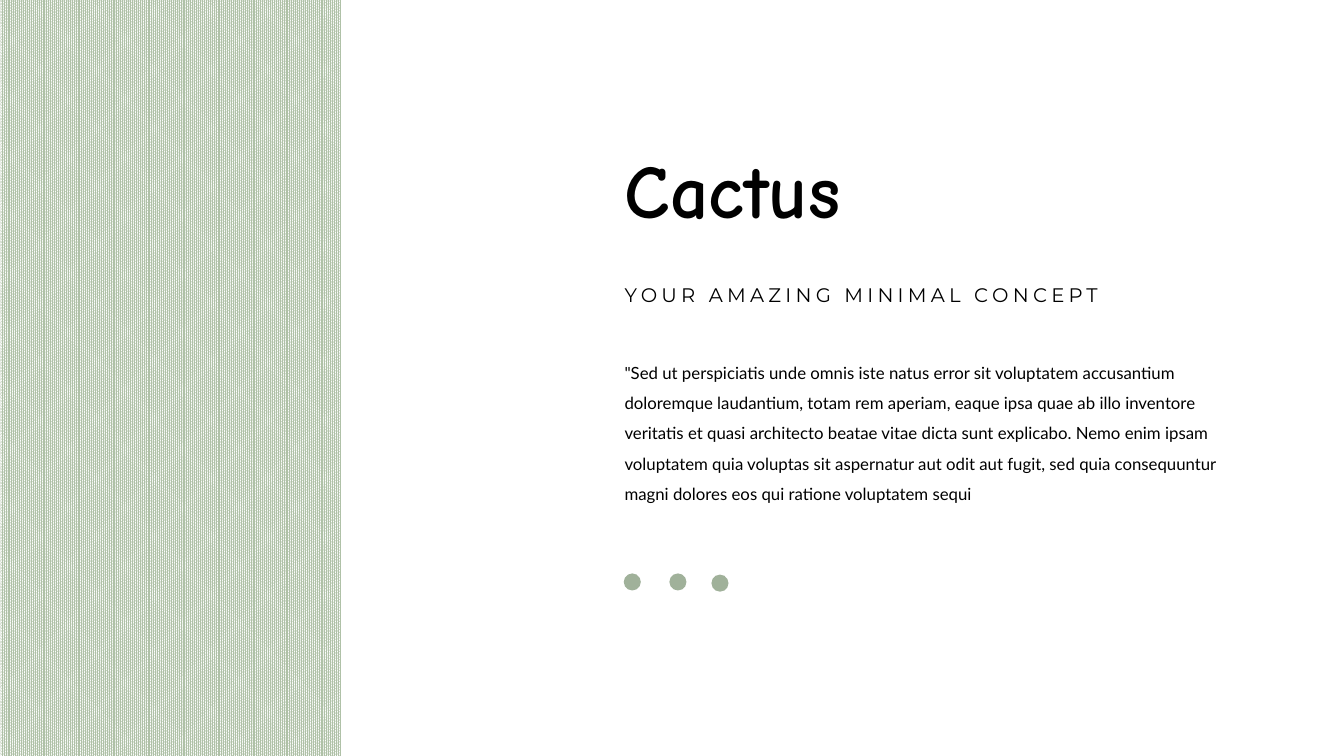
from pptx import Presentation
from pptx.dml.color import RGBColor
from pptx.enum.dml import MSO_PATTERN
from pptx.enum.shapes import MSO_SHAPE
from pptx.enum.text import MSO_ANCHOR, MSO_AUTO_SIZE, PP_ALIGN
from pptx.util import Cm, Pt

COLORS = {"text": "000000", "panel": "AFC1A7", "dot": "A0B19A", "white": "FFFFFF"}
TEXT_LEFT = 15.49
BODY = (
    '"Sed ut perspiciatis unde omnis iste natus error sit voluptatem accusantium '
    "doloremque laudantium, totam rem aperiam, eaque ipsa quae ab illo inventore "
    "veritatis et quasi architecto beatae vitae dicta sunt explicabo. Nemo enim ipsam "
    "voluptatem quia voluptas sit aspernatur aut odit aut fugit, sed quia consequuntur "
    "magni dolores eos qui ratione voluptatem sequi"
)


def rgb(name):
    return RGBColor.from_string(COLORS[name])


class SlideBuilder:
    """Holds the style and the slide being built; lengths are in centimetres."""

    def __init__(self, slide):
        self.slide = slide

    def shape(self, kind, left, top, width, height):
        sp = self.slide.shapes.add_shape(kind, Cm(left), Cm(top), Cm(width), Cm(height))
        sp.shadow.inherit = False
        sp.line.fill.background()
        return sp

    def striped_panel(self, width, height):
        fill = self.shape(MSO_SHAPE.RECTANGLE, 0, 0, width, height).fill
        fill.patterned()
        fill.pattern = MSO_PATTERN.PERCENT_90
        fill.fore_color.rgb = rgb("panel")
        fill.back_color.rgb = rgb("white")

    def dot(self, left, top, size):
        fill = self.shape(MSO_SHAPE.OVAL, left, top, size, size).fill
        fill.solid()
        fill.fore_color.rgb = rgb("dot")

    def textbox(self):
        return self.slide.shapes.add_textbox(0, 0, 0, 0)

    def set_text(self, sp, text, top, width, height, font, size, bold=False,
                 line_spacing=1.0, anchor=MSO_ANCHOR.TOP, tracking=None):
        """Place and format one left-aligned paragraph; tracking is in points."""
        sp.left, sp.top, sp.width, sp.height = Cm(TEXT_LEFT), Cm(top), Cm(width), Cm(height)
        tf = sp.text_frame
        tf.word_wrap = True
        tf.auto_size = MSO_AUTO_SIZE.NONE
        tf.vertical_anchor = anchor
        p = tf.paragraphs[0]
        r = p.add_run()
        r.text = text
        p.alignment = PP_ALIGN.LEFT
        p.line_spacing = line_spacing
        p.space_before = Pt(0)
        p.font.name = font
        p.font.size = Pt(size)
        p.font.bold = bold
        p.font.color.rgb = rgb("text")
        if tracking:
            r._r.get_or_add_rPr().set("spc", str(tracking * 100))


def main():
    prs = Presentation()
    prs.slide_width, prs.slide_height = Cm(33.87), Cm(19.05)
    s = prs.slides.add_slide(prs.slide_layouts[0])
    builder = SlideBuilder(s)

    builder.striped_panel(8.59, 19.05)
    builder.set_text(s.shapes.title, "Cactus", 3.38, 12.9, 2.67, "Comic Neue", 54,
                     bold=True, line_spacing=0.9, anchor=MSO_ANCHOR.BOTTOM)
    builder.set_text(s.placeholders[1], "YOUR AMAZING MINIMAL CONCEPT", 6.99, 14.4, 0.86,
                     "Montserrat", 14, tracking=3)
    builder.set_text(builder.textbox(), BODY, 8.76, 15.57, 5.23, "Lato", 12,
                     line_spacing=1.5)
    for left, top in ((15.72, 14.45), (16.87, 14.45), (17.93, 14.48)):
        builder.dot(left, top, 0.43)

    prs.save("out.pptx")


if __name__ == "__main__":
    main()
